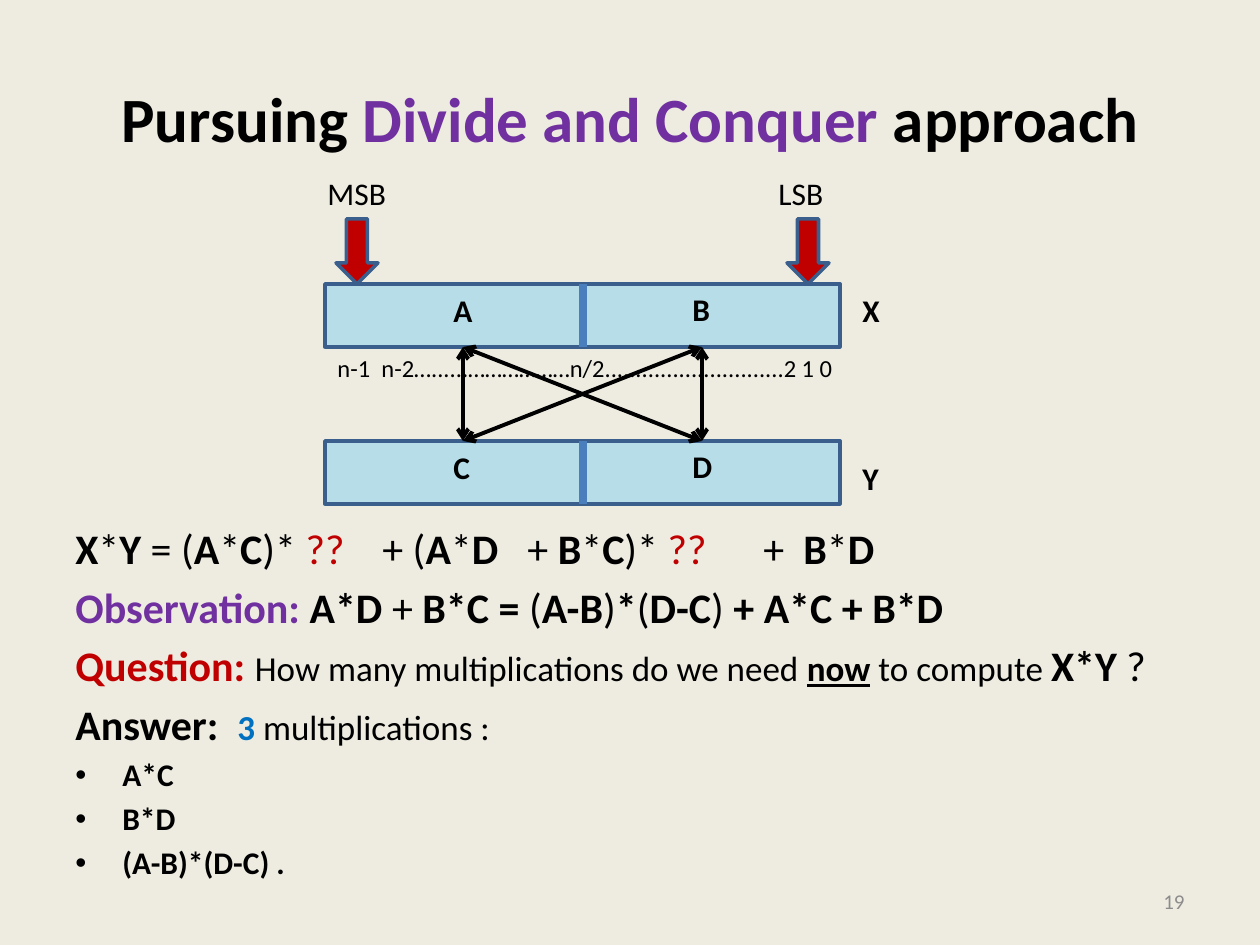
import typing

import lxml.etree
import pptx
import pptx.dml.color
import pptx.enum.shapes
import pptx.enum.text
import pptx.oxml.ns
import pptx.util

SCALE = 914400 / 126
FONT = "Calibri"
RGB = pptx.dml.color.RGBColor
CREAM = RGB(0xEE, 0xEC, 0xE1)
BLACK = RGB(0, 0, 0)
GREY = RGB(0x8C, 0x8C, 0x8C)
PURPLE = RGB(0x70, 0x30, 0xA0)
RED = RGB(0xC0, 0, 0)
BLUE = RGB(0, 0x70, 0xC0)
SKY = RGB(0xB7, 0xDE, 0xE8)
NAVY = RGB(0x3A, 0x5F, 0x8C)
STEEL = RGB(0x4B, 0x7E, 0xBC)
SHAPE = pptx.enum.shapes.MSO_SHAPE
ALIGN = pptx.enum.text.PP_ALIGN
ANCHOR = pptx.enum.text.MSO_ANCHOR


class Run(typing.NamedTuple):
    text: str
    color: RGB = BLACK
    bold: bool = False
    size: int = 0
    under: bool = False


class Row(typing.NamedTuple):
    runs: list[Run]
    size: int
    tabs: tuple[int, ...] = ()
    bullet: bool = False


class Label(typing.NamedTuple):
    text: str
    left: int
    top: int
    width: int
    bold: bool = True


class Bar(typing.NamedTuple):
    top: int
    halves: tuple[str, str]


class Link(typing.NamedTuple):
    start: tuple[int, int]
    end: tuple[int, int]


def px(num: float) -> int:
    return round(num * SCALE)


def mix(text: str) -> list[Run]:
    """Split at each bar sign; every second part is bold."""
    return [Run(part, bold=odd % 2 == 1)
            for odd, part in enumerate(text.split("|")) if part]


def node(parent, tag: str, **attrs: str):
    return lxml.etree.SubElement(parent, pptx.oxml.ns.qn(tag), attrs)


def write(slide, text: str | list[Row], left: int, top: int, width: int,
          height: int, *, size: int = 18, color: RGB = BLACK,
          bold: bool = False, align=ALIGN.LEFT, anchor=ANCHOR.TOP,
          wrap: bool = True) -> None:
    box = slide.shapes.add_textbox(px(left), px(top), px(width), px(height))
    frame = box.text_frame
    frame.word_wrap = wrap
    frame.vertical_anchor = anchor
    rows = [Row([Run(text, color, bold)], size)] if isinstance(text, str) else text
    for num, row in enumerate(rows):
        para = frame.add_paragraph() if num else frame.paragraphs[0]
        para.alignment = align
        props = para._p.get_or_add_pPr()
        if row.bullet:
            props.set("marL", str(px(47)))
            props.set("indent", str(px(-47)))
            node(props, "a:buFont", typeface="Arial")
            node(props, "a:buChar", char="•")
        if row.tabs:
            stops = node(props, "a:tabLst")
            for stop in row.tabs:
                node(stops, "a:tab", pos=str(px(stop)), algn="l")
        if num:
            para.space_before = pptx.util.Pt(row.size * 0.2)
        for part in row.runs:
            run = para.add_run()
            run.text = part.text
            font = run.font
            font.name = FONT
            font.size = pptx.util.Pt(part.size or row.size)
            font.bold = part.bold
            font.underline = part.under
            font.color.rgb = part.color


def shape(slide, kind, left: int, top: int, width: int, height: int,
          fill: RGB) -> None:
    item = slide.shapes.add_shape(kind, px(left), px(top), px(width), px(height))
    item.shadow.inherit = False
    item.fill.solid()
    item.fill.fore_color.rgb = fill
    item.line.color.rgb = NAVY
    item.line.width = pptx.util.Pt(2)


def line(slide, link: Link, color: RGB, width: float, heads: bool = False) -> None:
    item = slide.shapes.add_connector(
        pptx.enum.shapes.MSO_CONNECTOR.STRAIGHT,
        *map(px, link.start), *map(px, link.end))
    item.line.color.rgb = color
    item.line.width = pptx.util.Pt(width)
    if heads:
        stroke = item.line._get_or_add_ln()
        node(stroke, "a:headEnd", type="arrow")
        node(stroke, "a:tailEnd", type="arrow")
    node(item._element.spPr, "a:effectLst")


LEFT, WIDE, HIGH = 325, 515, 63
BARS = [Bar(284, ("A", "B")), Bar(441, ("C", "D"))]
MARKS = [Label("MSB", 315, 168, 84, False), Label("LSB", 766, 168, 71, False),
         Label("X", 850, 285, 43), Label("Y", 850, 453, 42)]
TIPS = (336, 787)
HALVES = (441, 680)
MIDS = (463, 702)

TITLE = [Row([Run("Pursuing", bold=True),
              Run(" Divide and Conquer ", PURPLE, True),
              Run("approach", bold=True)], 36)]
BODY = [
    Row([*mix("|X|*|Y |= (|A|*|C|)* "), Run("??", RED),
         *mix("\t+ (|A|*|D|\t+ |B|*|C|)* "), Run("??", RED),
         *mix("\t+\t|B|*|D")], 24, (307, 452, 688, 728)),
    Row([Run("Observation: ", PURPLE, True),
         *mix("|A*D| + |B*C = |(|A-B|)|*|(|D-C|)| + A*C + B*D")], 24),
    Row([Run("Question: ", RED, True),
         Run("How many multiplications do we need ", size=20),
         Run("now", bold=True, size=20, under=True),
         Run(" to compute ", size=20), *mix("|X*Y |?")], 24),
    Row([Run("Answer:\t", bold=True), Run("3", BLUE, True, 20),
         Run(" multiplications :", size=20)], 24, (162,)),
    *(Row([Run(term, bold=True)], 18, bullet=True)
      for term in ("A*C", "B*D", "(A-B)*(D-C) .")),
]
INDEX = [Row([Run("n-1\tn-2…......………………n/2.............................2 1 0")],
             14, (44,))]


def main() -> None:
    deck = pptx.Presentation()
    deck.slide_width, deck.slide_height = px(1260), px(945)
    slide = deck.slides.add_slide(deck.slide_layouts[6])
    slide.background.fill.solid()
    slide.background.fill.fore_color.rgb = CREAM

    write(slide, TITLE, 63, 38, 1134, 158, align=ALIGN.CENTER, anchor=ANCHOR.MIDDLE)
    write(slide, BODY, 63, 516, 1134, 397)
    write(slide, "19", 903, 876, 294, 50, size=12, color=GREY,
          align=ALIGN.RIGHT, anchor=ANCHOR.MIDDLE)

    for bar in BARS:
        shape(slide, SHAPE.RECTANGLE, LEFT, bar.top, WIDE, HIGH, SKY)
    for tip in TIPS:
        shape(slide, SHAPE.DOWN_ARROW, tip, 219, 42, 65, RED)
    for mark in MARKS:
        write(slide, mark.text, mark.left, mark.top, mark.width, 50,
              bold=mark.bold, wrap=False)
    write(slide, INDEX, LEFT, 347, 534, 43)

    mid = LEFT + WIDE // 2 + 1
    for bar in BARS:
        line(slide, Link((mid, bar.top), (mid, bar.top + HIGH)), STEEL, 4.5)
        for num, name in enumerate(bar.halves):
            write(slide, name, HALVES[num], bar.top + 1 - num, 44, 50,
                  bold=True, wrap=False)

    upper, lower = BARS[0].top + HIGH, BARS[1].top
    for first, last in ((0, 0), (1, 1), (0, 1), (1, 0)):
        line(slide, Link((MIDS[first], upper), (MIDS[last], lower)),
             BLACK, 2.25, heads=True)

    deck.save("out.pptx")


if __name__ == "__main__":
    main()
